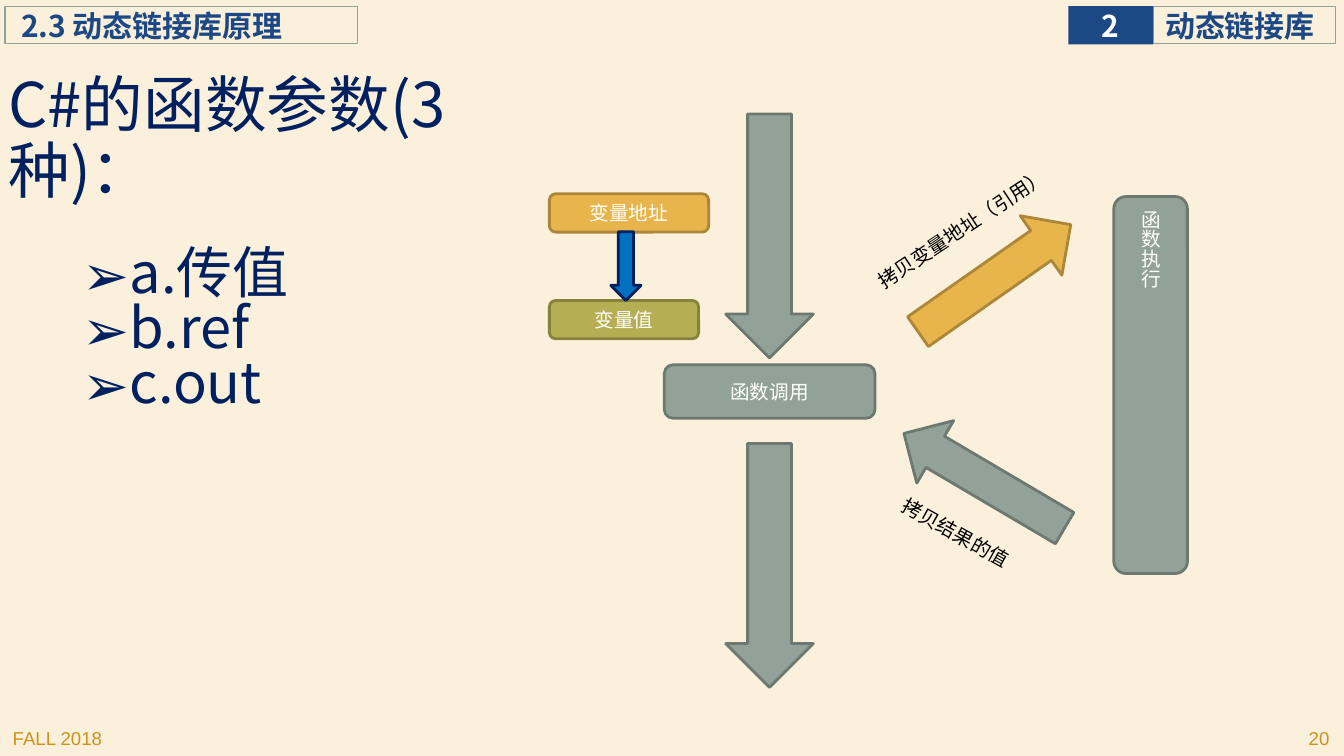
from lxml import etree
from pptx import Presentation
from pptx import util as u
from pptx.dml.color import RGBColor
from pptx.enum import shapes, text
from pptx.oxml.ns import qn

Pt = u.Pt
KIND = shapes.MSO_SHAPE
ALIGN = text.PP_ALIGN
CJK = "Noto Sans CJK SC"
NAVY, BLUE, WHITE, BLACK = "002060", "1C4885", "FFFFFF", "000000"
GRAY, GRAY_EDGE = "93A299", "6D7871"
AMBER, AMBER_EDGE = "E8B54D", "AC8639"


def colour(value):
    return RGBColor.from_string(value)


def set_insets(frame, left, top, right, bottom):
    frame.margin_left, frame.margin_top = Pt(left), Pt(top)
    frame.margin_right, frame.margin_bottom = Pt(right), Pt(bottom)


def format_runs(paragraph, size, hue, bold=False, font=CJK):
    for run in paragraph.runs:
        run.font.size = Pt(size)
        run.font.bold = bold
        run.font.name = font
        run.font.color.rgb = colour(hue)
        east_asian = etree.SubElement(run.font._element, qn("a:ea"))
        east_asian.set("typeface", font)


def write(shape, words, size, hue, align=ALIGN.LEFT, bold=False, font=CJK):
    frame = shape.text_frame
    frame.text = words
    frame.paragraphs[0].alignment = align
    format_runs(frame.paragraphs[0], size, hue, bold, font)
    return frame


def add_block(slide, kind, box, fill, edge, weight=2.0, rotation=0):
    block = slide.shapes.add_shape(kind, *map(Pt, box))
    block.shadow.inherit = False
    block.rotation = rotation
    if fill:
        block.fill.solid()
        block.fill.fore_color.rgb = colour(fill)
    else:
        block.fill.background()
    if edge:
        block.line.color.rgb = colour(edge)
        block.line.width = Pt(weight)
    else:
        block.line.fill.background()
    return block


def add_step(slide, box, words, fill, edge):
    step = add_block(slide, KIND.ROUNDED_RECTANGLE, box, fill, edge)
    frame = write(step, words, 14, WHITE, ALIGN.CENTER)
    frame.vertical_anchor = text.MSO_ANCHOR.MIDDLE
    return step


def add_header(slide, box, words, inset, fill=None, edge=GRAY, hue=BLUE, align=ALIGN.LEFT):
    header = add_block(slide, KIND.RECTANGLE, box, fill, edge, 0.75)
    frame = write(header, words, 21.4, hue, align, bold=True)
    set_insets(frame, inset, 0, 0, 0)
    frame.vertical_anchor = text.MSO_ANCHOR.MIDDLE
    frame.word_wrap = False


def add_label(slide, box, words, size, hue, rotation=0, align=ALIGN.LEFT, font=CJK):
    label = slide.shapes.add_textbox(*map(Pt, box))
    label.rotation = rotation
    frame = write(label, words, size, hue, align, font=font)
    frame.word_wrap = True


def add_title(slide, box, words):
    title = slide.shapes.title
    title.left, title.top, title.width, title.height = map(Pt, box)
    frame = write(title, words, 44, NAVY)
    set_insets(frame, 6, 3, 6, 3)
    frame.vertical_anchor = text.MSO_ANCHOR.MIDDLE
    frame.word_wrap = True
    frame.auto_size = text.MSO_AUTO_SIZE.NONE
    frame.paragraphs[0].line_spacing = 0.9


def add_bullets(slide, box, items):
    frame = slide.shapes.add_textbox(*map(Pt, box)).text_frame
    frame.text = "\n".join(items)
    frame.word_wrap = True
    set_insets(frame, 6, 3, 6, 3)
    for paragraph in frame.paragraphs:
        paragraph.line_spacing = 0.82
        format_runs(paragraph, 40, NAVY)
        properties = paragraph._p.get_or_add_pPr()
        properties.set("marL", str(Pt(34)))
        properties.set("indent", str(Pt(-24)))
        etree.SubElement(properties, qn("a:buFont")).set("typeface", CJK)
        etree.SubElement(properties, qn("a:buChar")).set("char", "➢")


def add_flow(slide):
    for top in (81.4, 316.8):
        add_block(slide, KIND.DOWN_ARROW, (518.4, top, 62.6, 174.2), GRAY, GRAY_EDGE)
    add_step(slide, (474.5, 260.6, 150.5, 38.2), "函数调用", GRAY, GRAY_EDGE)
    execution = add_step(slide, (795.6, 140.4, 52.6, 269.3), "函数执行", GRAY, GRAY_EDGE)
    execution.text_frame.paragraphs[0].alignment = ALIGN.LEFT
    execution.text_frame._txBody.bodyPr.set("vert", "eaVert")

    add_block(slide, KIND.RIGHT_ARROW, (643.7, 172.8, 133.2, 51.8), AMBER, AMBER_EDGE, rotation=325)
    add_block(slide, KIND.RIGHT_ARROW, (636.5, 317.5, 133.2, 51.8), GRAY, GRAY_EDGE, rotation=210.5)
    add_label(slide, (607.7, 139, 197.3, 28.8), "拷贝变量地址（引用）", 14, BLACK, 326.5)
    add_label(slide, (630.7, 374.4, 123.8, 28.8), "拷贝结果的值", 14, BLACK, 29)


def add_variable(slide):
    add_step(slide, (392.4, 138.4, 113.8, 27.4), "变量地址", AMBER, AMBER_EDGE)
    add_step(slide, (392.4, 214.6, 106.6, 27.4), "变量值", "B5AE53", "86813D")
    add_block(slide, KIND.DOWN_ARROW, (436.3, 165.6, 21.6, 49), "0070C0", NAVY)


def main():
    deck = Presentation()
    deck.slide_width, deck.slide_height = Pt(960), Pt(540)
    slide = deck.slides.add_slide(deck.slide_layouts[5])
    slide.background.fill.solid()
    slide.background.fill.fore_color.rgb = colour("FAF0DB")

    add_label(slide, (2, 515.5, 200, 22.3), "FALL 2018", 13.3, "CD921B", font="Arial")
    add_label(slide, (756.7, 515.5, 200, 22.3), "20", 13.3, "CD921B", align=ALIGN.RIGHT, font="Arial")
    add_header(slide, (823.7, 5, 130.3, 25.9), "动态链接库", 8.6)
    add_header(slide, (763.2, 4.3, 60.5, 27.4), "2", 0, BLUE, None, WHITE, ALIGN.CENTER)
    add_header(slide, (3.6, 5, 252, 25.9), "2.3 动态链接库原理", 11.5)

    add_title(slide, (0, 68.4, 392.4, 64.1), "C#的函数参数(3种)：")
    add_bullets(slide, (43.2, 175, 170, 185.8), ("a.传值", "b.ref", "c.out"))
    add_flow(slide)
    add_variable(slide)
    deck.save("out.pptx")


if __name__ == "__main__":
    main()
